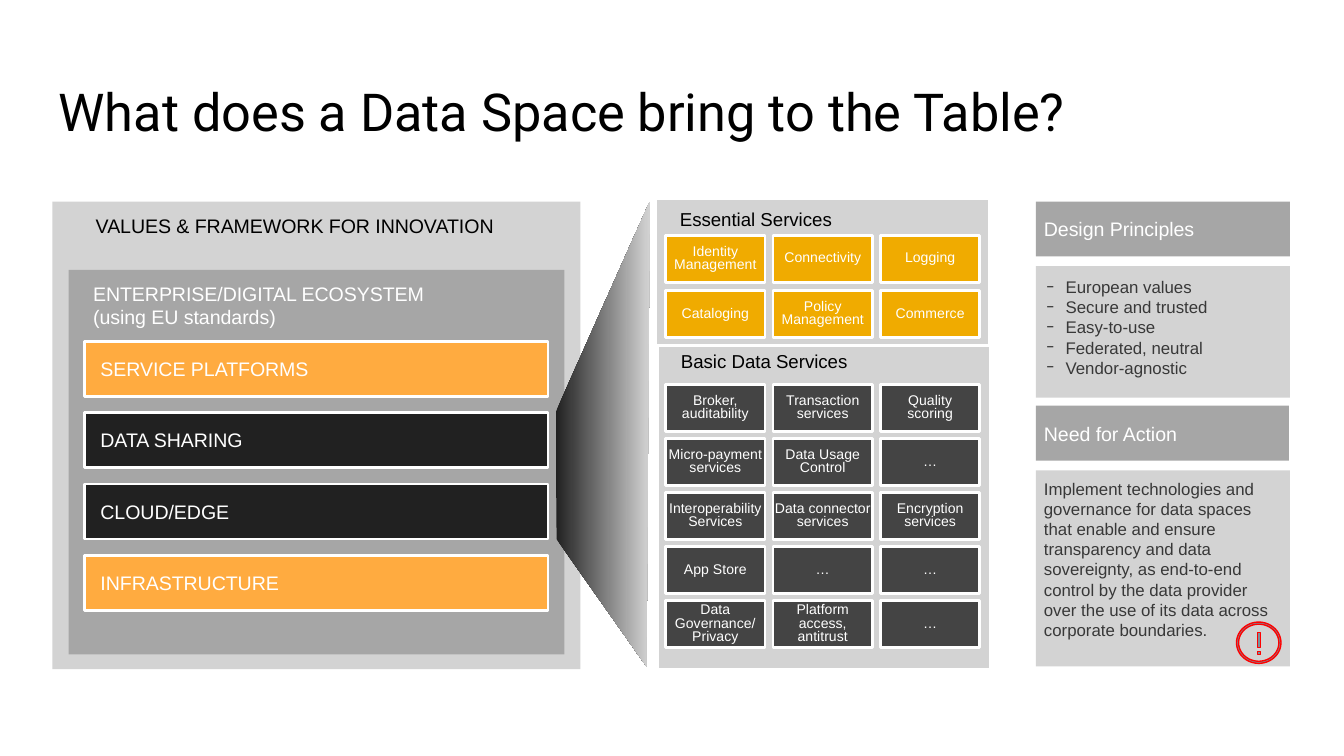
from math import cos, pi, sin

from lxml import etree
from pptx import Presentation
from pptx.dml.color import RGBColor
from pptx.enum.shapes import MSO_SHAPE
from pptx.enum.text import MSO_ANCHOR, PP_ALIGN
from pptx.oxml.ns import qn
from pptx.util import Cm, Pt

RECT = MSO_SHAPE.RECTANGLE
TOP, MIDDLE = MSO_ANCHOR.TOP, MSO_ANCHOR.MIDDLE
LEFT, CENTER = PP_ALIGN.LEFT, PP_ALIGN.CENTER

WHITE = RGBColor(0xFF, 0xFF, 0xFF)
BLACK = RGBColor(0, 0, 0)
LIGHT = RGBColor(0xD3, 0xD3, 0xD3)
GRAY = RGBColor(0xA6, 0xA6, 0xA6)
DARK = RGBColor(0x21, 0x21, 0x21)
INK = RGBColor(0x38, 0x38, 0x38)
ORANGE = RGBColor(0xFF, 0xAB, 0x40)
GOLD = RGBColor(0xF0, 0xAB, 0x00)
SLATE = RGBColor(0x78, 0x90, 0x9C)
RED = RGBColor(0xFF, 0, 0)

prs = Presentation()
prs.slide_width, prs.slide_height = Cm(25.4), Cm(14.29)
slide = prs.slides.add_slide(prs.slide_layouts[6])
shapes = slide.shapes


def write(shape, lines, size, color, pads, anchor=TOP, align=LEFT, font="Arial"):
    """Fill a shape with one paragraph per line; pads are left, top, right, bottom."""
    frame = shape.text_frame
    frame.word_wrap = True
    frame.vertical_anchor = anchor
    frame.margin_left, frame.margin_top, frame.margin_right, frame.margin_bottom = map(Cm, pads)
    for i, line in enumerate(lines):
        para = frame.paragraphs[0] if i == 0 else frame.add_paragraph()
        para.text = line
        para.alignment = align
        para.font.name, para.font.size = font, Pt(size)
        para.font.color.rgb = color
    return frame


def box(x, y, w, h, fill, edge=False):
    """Add a flat rectangle, with a white edge if asked."""
    shape = shapes.add_shape(RECT, Cm(x), Cm(y), Cm(w), Cm(h))
    shape.shadow.inherit = False
    shape.fill.solid()
    shape.fill.fore_color.rgb = fill
    if edge:
        shape.line.color.rgb = WHITE
        shape.line.width = Pt(1.5)
    else:
        shape.line.fill.background()
    return shape


# Title
title = shapes.add_textbox(Cm(0.86), Cm(1.24), Cm(23.67), Cm(1.6))
write(title, ["What does a Data Space bring to the Table?"], 28, BLACK, [0.25] * 4, font="Roboto")

# Service panels
box(12.42, 6.5, 6.3, 6.15, LIGHT, True)
box(12.4, 3.76, 6.3, 2.77, LIGHT, True)

# Framework and ecosystem
write(box(0.99, 3.81, 9.98, 8.84, LIGHT), ["VALUES & FRAMEWORK FOR INNOVATION"],
      10.5, BLACK, (0.82, 0.23, 0.15, 0.15))
write(box(1.3, 5.1, 9.37, 7.27, GRAY), ["ENTERPRISE/DIGITAL ECOSYSTEM\n(using EU standards)"],
      10.5, WHITE, (0.46, 0.23, 0.15, 0.15))
bands = [("SERVICE PLATFORMS", ORANGE), ("DATA SHARING", DARK),
         ("CLOUD/EDGE", DARK), ("INFRASTRUCTURE", ORANGE)]
for i, (name, fill) in enumerate(bands):
    band = box(1.6, 6.45 + 1.35 * i, 8.76, 1.04, fill, True)
    write(band, [name], 10.5, WHITE, (0.3, 0.15, 0.15, 0.15), MIDDLE)

# Service headings
for x, y, w, name in [(12.6, 3.79, 3.4, "Essential Services"),
                      (12.62, 6.48, 3.68, "Basic Data Services")]:
    head = shapes.add_textbox(Cm(x), Cm(y), Cm(w), Cm(0.69))
    write(head, [name], 10, BLACK, (0.25, 0.13, 0.25, 0.13)).word_wrap = False

# Service tiles
gold = [["Identity Management", "Connectivity", "Logging"],
        ["Cataloging", "Policy Management", "Commerce"]]
dark = [["Broker, auditability", "Transaction services", "Quality\nscoring"],
        ["Micro-payment services", "Data Usage Control", "…"],
        ["Interoperability Services", "Data connector services", "Encryption services"],
        ["App Store", "…", "…"],
        ["Data Governance/ Privacy", "Platform access, antitrust", "…"]]
for grid, y, step, fill, pads in [(gold, 4.45, 1.04, GOLD, (0.08, 0.15, 0.08, 0.15)),
                                  (dark, 7.27, 1.02, DARK, (0, 0, 0, 0))]:
    for r, row in enumerate(grid):
        for c, name in enumerate(row):
            tile = box(12.58 + 2.03 * c, y + step * r, 1.88, 0.89, fill, True)
            frame = write(tile, [name], 7.5, WHITE, pads, MIDDLE, CENTER)
            frame.paragraphs[0].line_spacing = 0.8
            if fill == DARK:
                tint = tile.fill._xPr.find(qn("a:solidFill"))[0]
                etree.SubElement(tint, qn("a:alpha"), val="80000")

# Funnel from data sharing to the services
pen = shapes.build_freeform(Cm(10.5), Cm(7.8), scale=1.0)
pen.add_line_segments([(Cm(x), Cm(y)) for x, y in [(12.28, 3.81), (12.22, 12.6), (10.52, 10.19)]])
funnel = pen.convert_to_shape()
funnel.shadow.inherit = False
funnel.line.fill.background()
funnel.fill.gradient()
funnel.fill.gradient_angle = 0
for stop, color, place in zip(funnel.fill.gradient_stops, (DARK, LIGHT), (0, 1)):
    stop.color.rgb = color
    stop.position = place

# Principles and action
for y, w, name in [(3.81, 4.8, "Design Principles"), (7.67, 4.78, "Need for Action")]:
    write(box(19.58, y, w, 1.04, GRAY), [name], 10.5, WHITE, [0.15] * 4, MIDDLE)
goals = ["European values", "Secure and trusted", "Easy-to-use",
         "Federated, neutral", "Vendor-agnostic"]
frame = write(box(19.58, 5.03, 4.8, 2.49, LIGHT), goals, 9, INK, [0.2] * 4)
for para in frame.paragraphs:
    props = para._p.get_or_add_pPr()
    props.set("marL", str(Cm(0.36)))
    props.set("indent", str(-Cm(0.36)))
    tint = etree.SubElement(props, qn("a:buClr"))
    etree.SubElement(tint, qn("a:srgbClr"), val=str(BLACK))
    etree.SubElement(props, qn("a:buSzPct"), val="75000")
    etree.SubElement(props, qn("a:buFont"), typeface="Arial")
    etree.SubElement(props, qn("a:buChar"), char="−")
need = ("Implement technologies and governance for data spaces that enable and ensure "
        "transparency and data sovereignty, as end-to-end control by the data provider "
        "over the use of its data across corporate boundaries.")
write(box(19.58, 8.89, 4.8, 3.71, LIGHT), [need], 9, INK, [0.15] * 4)

# Alert sign: two rings, a stem and a dot
turns = [2 * pi * i / 72 for i in range(72)]
parts = [[(23.79 + a * cos(t), 12.15 + b * sin(t)) for t in turns]
         for a, b in [(0.42, 0.39), (0.38, 0.35)]]
parts += [[(23.77, y), (23.82, y), (23.82, y + h), (23.77, y + h)]
          for y, h in [(11.96, 0.28), (12.32, 0.05)]]
pen = shapes.build_freeform(Cm(parts[0][0][0]), Cm(parts[0][0][1]), scale=1.0)
for i, part in enumerate(parts):
    spots = [(Cm(x), Cm(y)) for x, y in part]
    if i:
        pen.move_to(*spots[0])
    pen.add_line_segments(spots[1:], close=True)
sign = pen.convert_to_shape()
sign.shadow.inherit = False
sign.fill.solid()
sign.fill.fore_color.rgb = SLATE
sign.line.color.rgb = RED
sign.line.width = Pt(0)

prs.save("out.pptx")
